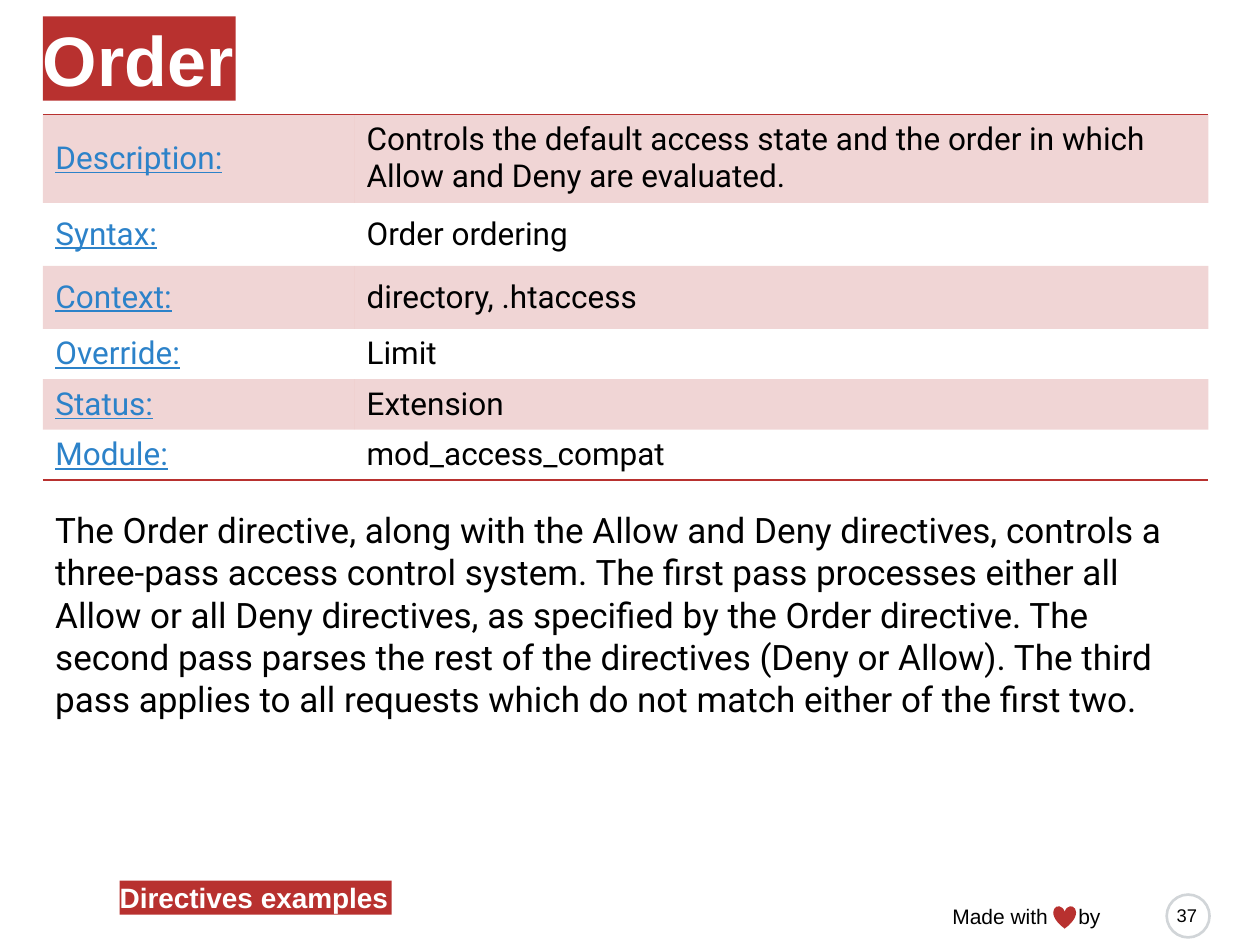
from lxml.etree import SubElement
from pptx import Presentation
from pptx.dml.color import RGBColor
from pptx.enum.shapes import MSO_SHAPE as Shape
from pptx.enum.text import MSO_ANCHOR as Anchor, PP_ALIGN as Align
from pptx.oxml import parse_xml
from pptx.oxml.ns import nsdecls, qn
from pptx.util import Inches, Pt

THEME = {
    "red": "B8312F", "white": "FFFFFF", "black": "000000",
    "link": "2C82C9", "ring": "D1D5D8",
    "title": 40, "body": 20, "cell": 18, "tag": 16, "footer": 12, "number": 10.5,
    "heading_font": "Arial", "body_font": "Roboto",
}

deck = Presentation()
deck.slide_width, deck.slide_height = Inches(10), Inches(7.5)
slide = deck.slides.add_slide(deck.slide_layouts[6])
shapes = slide.shapes

# Grid of 100 columns by 75 rows
UNIT = deck.slide_width // 100
LEFT = 3.4


def grid(*cells):
    return [round(cell * UNIT) for cell in cells]


def write(frame, text, size, color, font, bold=False, underline=False):
    frame.text = text
    frame.paragraphs[0].alignment = Align.LEFT
    for run in frame.paragraphs[0].runs:
        run.font.size, run.font.name = Pt(THEME[size]), THEME[font]
        run.font.color.rgb = RGBColor.from_string(THEME[color])
        run.font.bold, run.font.underline = bold, underline


# Footer: page ring and heart
for kind, place, fill, outline in [
    (Shape.OVAL, (92.6, 71, 3.4, 3.4), "white", "ring"),
    (Shape.HEART, (83.6, 71.9, 1.8, 1.8), "red", None),
]:
    mark = shapes.add_shape(kind, *grid(*place))
    mark.shadow.inherit = False
    mark.fill.solid()
    mark.fill.fore_color.rgb = RGBColor.from_string(THEME[fill])
    if outline:
        mark.line.color.rgb = RGBColor.from_string(THEME[outline])
        mark.line.width = Pt(1.5)
    else:
        mark.line.fill.background()

# Title and section tag on red
for text, place, size in [
    ("Order", (LEFT, 1.3, 15.3, 6.7), "title"),
    ("Directives examples", (9.5, 69.9, 21.6, 2.7), "tag"),
]:
    label = shapes.add_shape(Shape.RECTANGLE, *grid(*place))
    label.shadow.inherit = False
    label.fill.solid()
    label.fill.fore_color.rgb = RGBColor.from_string(THEME["red"])
    label.line.fill.background()
    frame = label.text_frame
    frame.margin_left = frame.margin_right = frame.margin_top = frame.margin_bottom = 0
    frame.vertical_anchor, frame.word_wrap = Anchor.MIDDLE, False
    write(frame, text, size, "white", "heading_font", bold=True)

# Directive table
directive = [
    ("Description:", "Controls the default access state and the order in which "
                     "Allow and Deny are evaluated.", 7),
    ("Syntax:", "Order ordering", 5),
    ("Context:", "directory, .htaccess", 5),
    ("Override:", "Limit", 4),
    ("Status:", "Extension", 4),
    ("Module:", "mod_access_compat", 4),
]
table = shapes.add_table(len(directive), 2, *grid(LEFT, 9.1, 92.5, 29)).table
table.first_row = table.horz_banding = False
table._tbl.tblPr.find(qn("a:tableStyleId")).text = "{2D5ABB26-0587-4C30-8999-92F81FD0307C}"
for column, width in zip(table.columns, grid(24.7, 67.8)):
    column.width = width

edges = {0: "lnT", len(directive) - 1: "lnB"}
for number, (term, meaning, height) in enumerate(directive):
    table.rows[number].height = grid(height)[0]
    for cell, text, color in zip(table.rows[number].cells, (term, meaning), ("link", "black")):
        write(cell.text_frame, text, "cell", color, "body_font", underline=color == "link")
        cell.vertical_anchor = Anchor.MIDDLE
        properties = cell._tc.get_or_add_tcPr()
        # Translucent red on every other row
        if number % 2 == 0:
            cell.fill.solid()
            cell.fill.fore_color.rgb = RGBColor.from_string(THEME["red"])
            SubElement(properties.find(".//" + qn("a:srgbClr")), qn("a:alpha"), val="20000")
        else:
            cell.fill.background()
        # Rules above the first row and below the last
        if number in edges:
            properties.insert(0, parse_xml(
                f'<a:{edges[number]} {nsdecls("a")} w="12700"><a:solidFill>'
                f'<a:srgbClr val="{THEME["red"]}"/></a:solidFill></a:{edges[number]}>'))

# Explanation, credit and page number
for text, place, size, font in [
    ("The Order directive, along with the Allow and Deny directives, controls a "
     "three-pass access control system. The first pass processes either all Allow "
     "or all Deny directives, as specified by the Order directive. The second pass "
     "parses the rest of the directives (Deny or Allow). The third pass applies to "
     "all requests which do not match either of the first two.",
     (LEFT, 39.9, 91.4, 17.8), "body", "body_font"),
    ("Made with\tby", (74.6, 71.2, 16.8, 3), "footer", "heading_font"),
    ("37", (92.4, 71.3, 4.5, 4), "number", "heading_font"),
]:
    frame = shapes.add_textbox(*grid(*place)).text_frame
    frame.word_wrap = True
    if "\t" in text:
        # The tab leaves room for the heart
        stops = SubElement(frame.paragraphs[0]._p.get_or_add_pPr(), qn("a:tabLst"))
        SubElement(stops, qn("a:tab"), pos=str(grid(10.3)[0]), algn="l")
    write(frame, text, size, "black", font)

deck.save("out.pptx")
